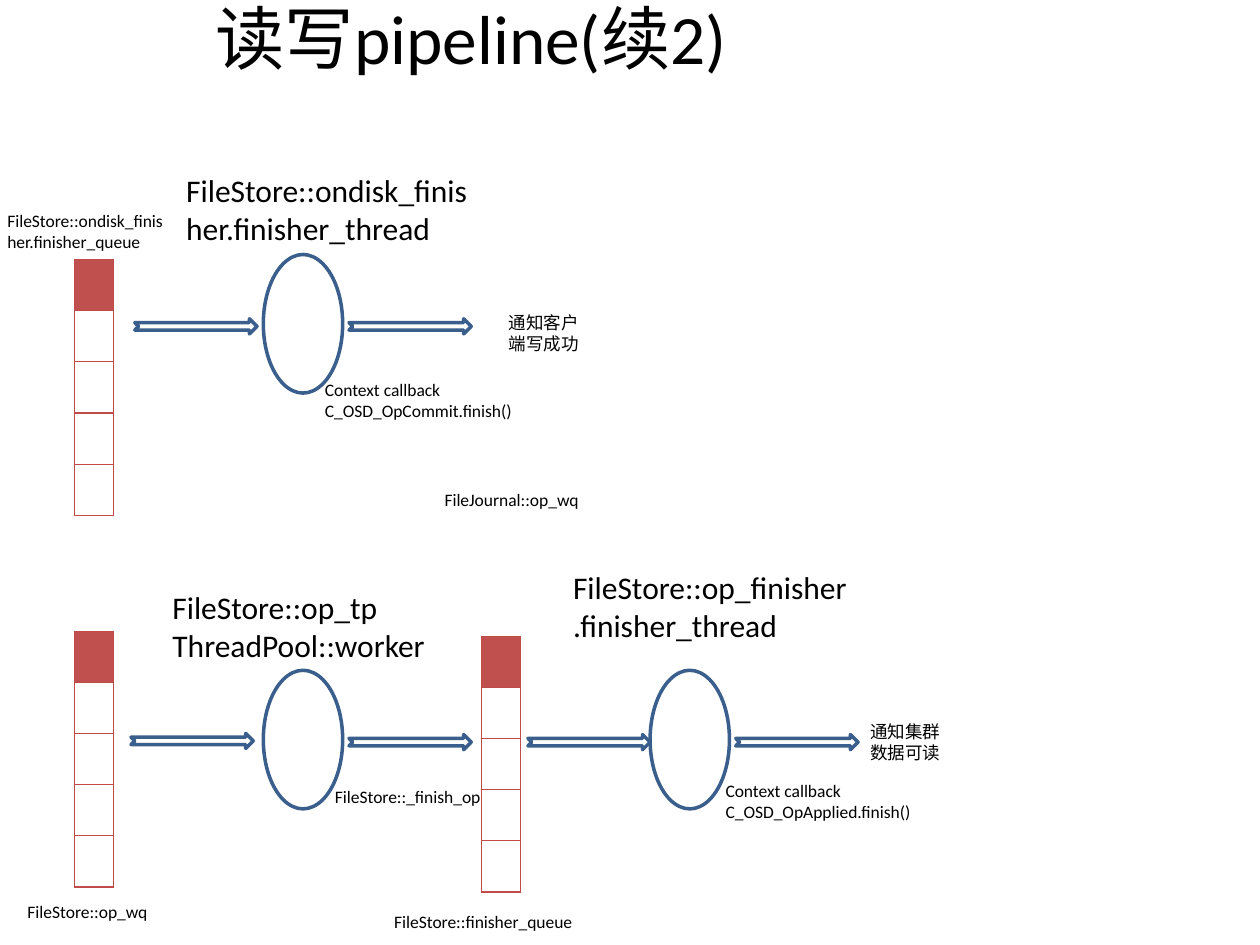
from lxml import etree
from pptx import Presentation
from pptx.dml.color import RGBColor
from pptx.enum.shapes import MSO_SHAPE
from pptx.enum.text import MSO_ANCHOR, PP_ALIGN
from pptx.oxml.ns import qn
from pptx.util import Inches, Pt

COLORS = {
    "text": "000000",
    "paper": "FFFFFF",
    "outline": "3A5F8C",
    "queue_head": "C0504D",
    "queue_border": "BF4C48",
}
FONT = "Calibri"
QUEUE_SLOTS = 5
SLOT_WIDTH, SLOT_HEIGHT = 0.31, 0.406

QUEUES = [(0.59, 2.06), (0.59, 5.01), (3.82, 5.05)]
THREADS = [(2.09, 2.02), (2.09, 5.32), (5.16, 5.32)]
STEPS = [(1.07, 2.53), (2.77, 2.53), (1.04, 5.82), (2.77, 5.83), (4.19, 5.83), (5.84, 5.83)]
THREAD_NAMES = [
    (1.38, 1.31, 2.44, "FileStore::ondisk_finisher.finisher_thread"),
    (1.27, 4.62, 2.23, "FileStore::op_tp ThreadPool::worker"),
    (4.45, 4.46, 2.36, "FileStore::op_finisher.finisher_thread"),
]
NOTES = [
    (-0.04, 1.62, 1.5, 0.44, "FileStore::ondisk_finisher.finisher_queue"),
    (2.48, 2.96, 1.69, 0.44, "Context callback C_OSD_OpCommit.finish()"),
    (3.94, 2.43, 0.86, 0.44, "通知客户端写成功"),
    (3.43, 3.83, 1.5, 0.27, "FileJournal::op_wq"),
    (0.12, 7.1, 1.5, 0.27, "FileStore::op_wq"),
    (2.56, 6.19, 1.55, 0.27, "FileStore::_finish_op"),
    (3.03, 7.18, 2.05, 0.27, "FileStore::finisher_queue"),
    (5.66, 6.14, 1.71, 0.44, "Context callback C_OSD_OpApplied.finish()"),
    (6.81, 5.67, 0.86, 0.44, "通知集群数据可读"),
]


def color(key):
    return RGBColor.from_string(COLORS[key])


def add_label(slide, left, top, width, height, wording, size):
    label = slide.shapes.add_textbox(Inches(left), Inches(top), Inches(width), Inches(height))
    label.text_frame.word_wrap = True
    run = label.text_frame.paragraphs[0].add_run()
    run.text = wording
    run.font.name = FONT
    run.font.size = Pt(size)
    run.font.color.rgb = color("text")
    return label


def add_title(slide, wording):
    title = add_label(slide, 0.51, 0.21, 6.46, 0.16, wording, 39.6)
    title.text_frame.vertical_anchor = MSO_ANCHOR.MIDDLE
    title.text_frame.paragraphs[0].alignment = PP_ALIGN.CENTER


def add_outlined(slide, preset, left, top, width, height):
    outlined = slide.shapes.add_shape(
        preset, Inches(left), Inches(top), Inches(width), Inches(height)
    )
    outlined.shadow.inherit = False
    outlined.fill.solid()
    outlined.fill.fore_color.rgb = color("paper")
    outlined.line.color.rgb = color("outline")
    outlined.line.width = Pt(2)


def add_borders(cell):
    properties = cell._tc.get_or_add_tcPr()
    for position, side in enumerate(("lnL", "lnR", "lnT", "lnB")):
        border = etree.Element(qn(f"a:{side}"), w=str(Pt(0.75)))
        fill = etree.SubElement(border, qn("a:solidFill"))
        etree.SubElement(fill, qn("a:srgbClr"), val=COLORS["queue_border"])
        properties.insert(position, border)


def add_queue(slide, left, top):
    queue = slide.shapes.add_table(
        QUEUE_SLOTS, 1, Inches(left), Inches(top),
        Inches(SLOT_WIDTH), Inches(SLOT_HEIGHT * QUEUE_SLOTS),
    ).table
    for index, row in enumerate(queue.rows):
        row.height = Inches(SLOT_HEIGHT)
        slot = row.cells[0]
        slot.fill.solid()
        slot.fill.fore_color.rgb = color("paper" if index else "queue_head")
        add_borders(slot)


def main():
    deck = Presentation()
    deck.slide_width, deck.slide_height = Inches(10), Inches(7.5)
    slide = deck.slides.add_slide(deck.slide_layouts[6])

    add_title(slide, "读写pipeline(续2)")
    for left, top in QUEUES:
        add_queue(slide, left, top)
    for left, top in STEPS:
        add_outlined(slide, MSO_SHAPE.NOTCHED_RIGHT_ARROW, left, top, 0.97, 0.12)
    for left, top in THREADS:
        add_outlined(slide, MSO_SHAPE.OVAL, left, top, 0.63, 1.1)
    for left, top, width, wording in THREAD_NAMES:
        add_label(slide, left, top, width, 0.71, wording, 18)
    for left, top, width, height, wording in NOTES:
        add_label(slide, left, top, width, height, wording, 10)

    deck.save("out.pptx")


if __name__ == "__main__":
    main()
